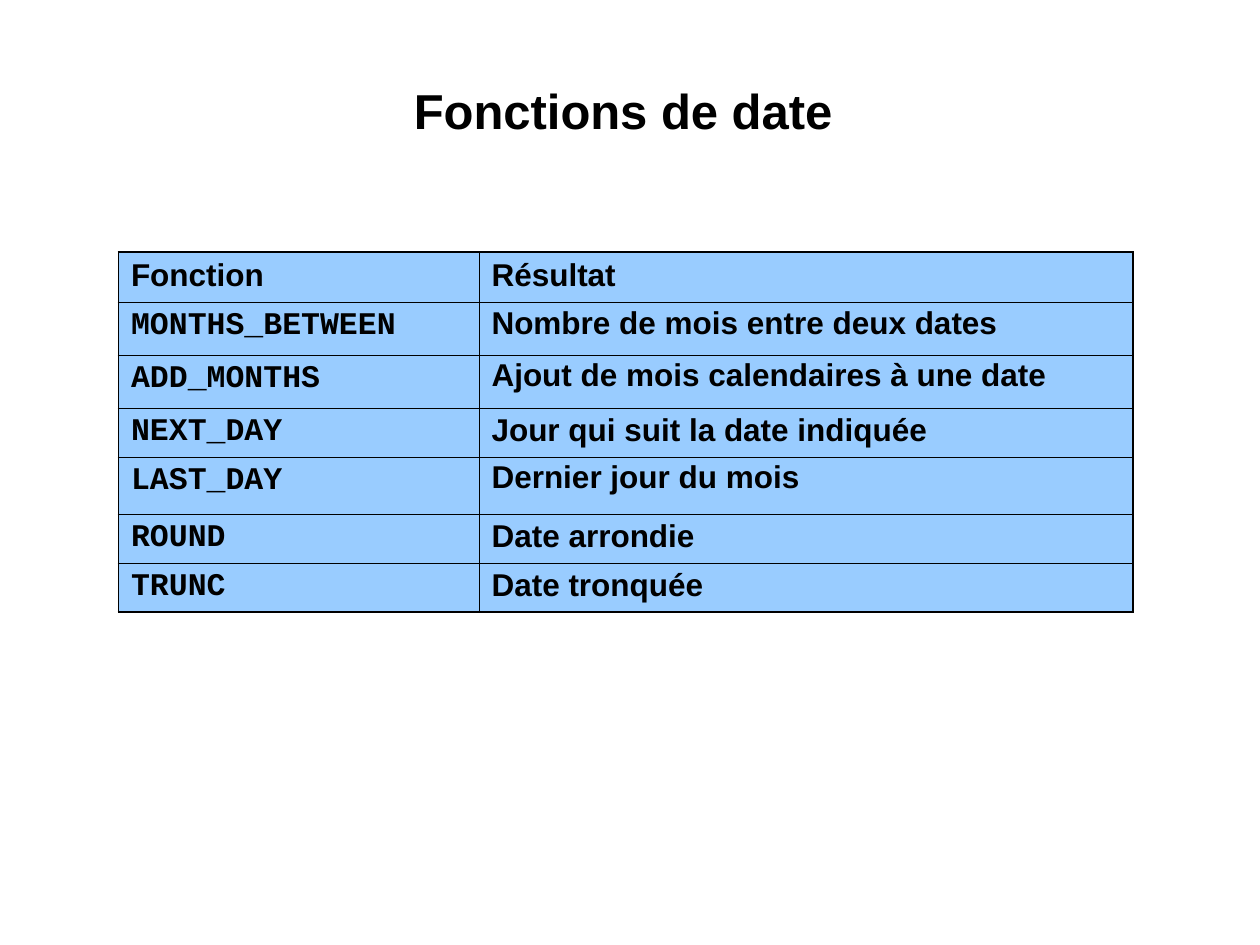
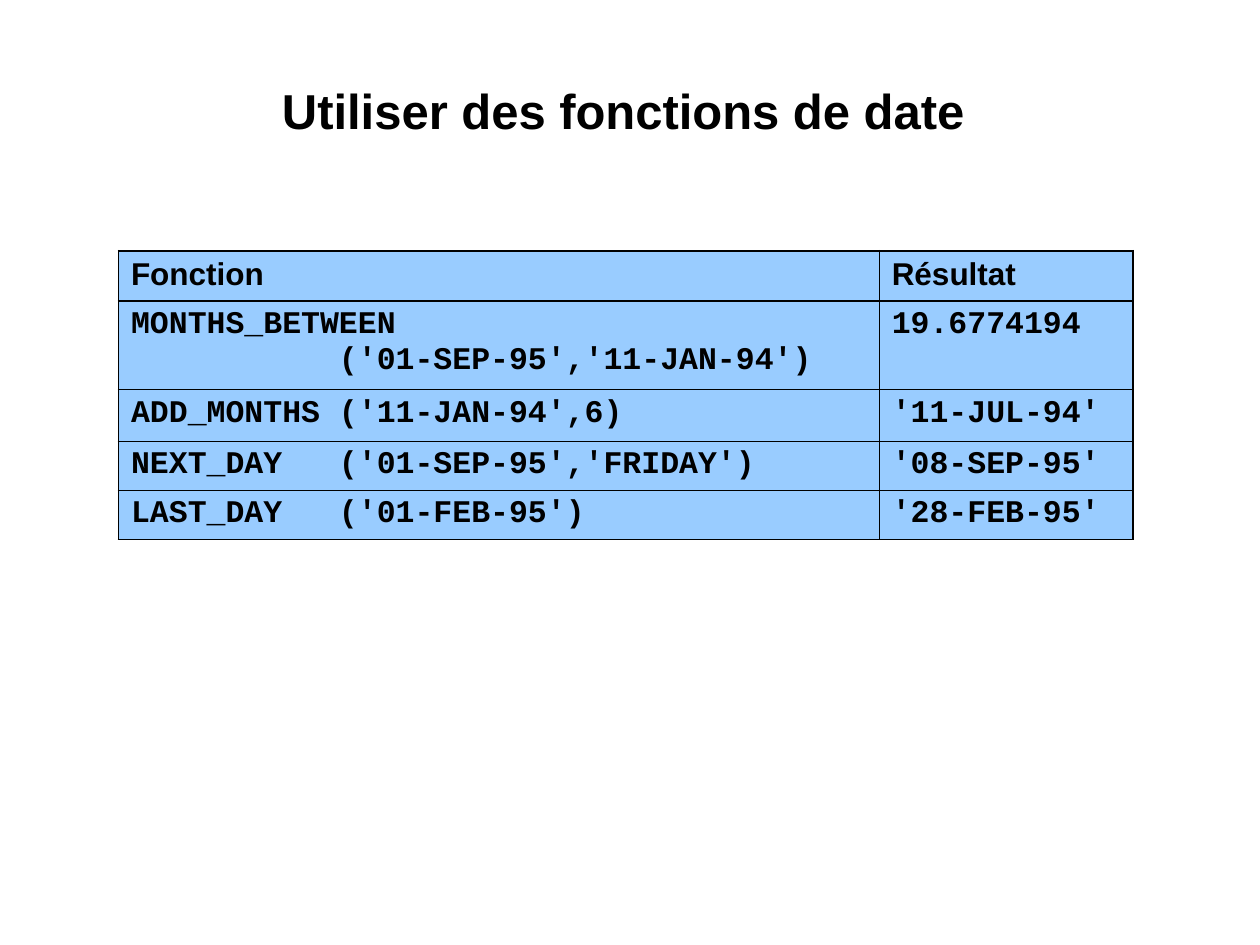
from lxml import etree
from pptx import Presentation
from pptx.dml.color import RGBColor
from pptx.enum import text
from pptx.oxml import ns
from pptx.util import Pt

BLACK = RGBColor(0x00, 0x00, 0x00)
SKY_BLUE = RGBColor(0x99, 0xCC, 0xFF)
SANS, MONO = "Arial", "Courier New"
HEADINGS = ("Fonction", "Résultat")

# Each row: height in points, line spacing, cell texts
DATE_FUNCTIONS = [
    (28.8, 1, HEADINGS),
    (30.2, 0.9, ("MONTHS_BETWEEN", "Nombre de mois entre deux dates")),
    (30.2, 0.9, ("ADD_MONTHS", "Ajout de mois calendaires à une date")),
    (28.1, 0.95, ("NEXT_DAY", "Jour qui suit la date indiquée")),
    (32.4, 0.9, ("LAST_DAY", "Dernier jour du mois")),
    (28.1, 0.95, ("ROUND", "Date arrondie")),
    (28.1, 0.95, ("TRUNC", "Date tronquée")),
]
DATE_EXAMPLES = [
    (28.8, 1, HEADINGS),
    (50.4, 1, ("MONTHS_BETWEEN\n\t('01-SEP-95','11-JAN-94')", "19.6774194")),
    (29.5, 0.95, ("ADD_MONTHS\t('11-JAN-94',6)", "'11-JUL-94'")),
    (28.1, 0.95, ("NEXT_DAY\t('01-SEP-95','FRIDAY')", "'08-SEP-95'")),
    (28.1, 0.95, ("LAST_DAY\t('01-FEB-95')", "'28-FEB-95'")),
]


class Deck:
    TITLE_SIZE, CELL_SIZE = Pt(28), Pt(18)
    HEAVY, THIN = Pt(1.08), Pt(0.45)
    ARGUMENT_TAB = Pt(118.8)  # eleven monospaced characters at 18 pt

    def __init__(self):
        self.presentation = Presentation()
        self.presentation.slide_width = Pt(720)
        self.presentation.slide_height = Pt(540)
        self.slide = None

    def add_slide(self, title):
        layout = self.presentation.slide_layouts[6]
        self.slide = self.presentation.slides.add_slide(layout)
        self.add_title(title)

    def add_title(self, title):
        frame = self.slide.shapes.add_textbox(Pt(72), Pt(41.8), Pt(576), Pt(69)).text_frame
        frame.word_wrap = True
        frame.margin_left = frame.margin_right = frame.margin_bottom = Pt(0.7)
        frame.margin_top = Pt(4.3)
        frame.text = title
        frame.paragraphs[0].alignment = text.PP_ALIGN.CENTER
        self.format_runs(frame.paragraphs[0], SANS, self.TITLE_SIZE)

    def add_table(self, top, column_widths, column_fonts, rows):
        height = sum(row_height for row_height, _, _ in rows)
        table = self.slide.shapes.add_table(
            len(rows), len(column_widths), Pt(67.7), Pt(top),
            Pt(sum(column_widths)), Pt(height)).table
        table.first_row = table.horz_banding = False
        for column, width in zip(table.columns, column_widths):
            column.width = Pt(width)
        last_row, last_column = len(rows) - 1, len(column_widths) - 1
        for r, (row_height, spacing, labels) in enumerate(rows):
            table.rows[r].height = Pt(row_height)
            for c, label in enumerate(labels):
                cell = table.cell(r, c)
                self.fill_cell(cell, label, column_fonts[c] if r else SANS, spacing)
                self.set_borders(cell, {"lnL": c == 0, "lnR": c == last_column,
                                        "lnT": r <= 1, "lnB": r in (0, last_row)})

    def fill_cell(self, cell, label, font_name, spacing):
        cell.fill.solid()
        cell.fill.fore_color.rgb = SKY_BLUE
        cell.text_frame.text = label
        for paragraph in cell.text_frame.paragraphs:
            paragraph.line_spacing = spacing
            self.format_runs(paragraph, font_name, self.CELL_SIZE)
            if "\t" in paragraph.text:
                self.set_argument_tab(paragraph)

    def set_argument_tab(self, paragraph):
        """Align the function arguments on one tab stop."""
        properties = paragraph._p.get_or_add_pPr()
        tabs = etree.SubElement(properties, ns.qn("a:tabLst"))
        etree.SubElement(tabs, ns.qn("a:tab"), pos=str(self.ARGUMENT_TAB), algn="l")

    def set_borders(self, cell, heavy_sides):
        """Draw the four borders; heavy_sides maps each side's tag to whether it is heavy."""
        properties = cell._tc.get_or_add_tcPr()
        for position, (side, heavy) in enumerate(heavy_sides.items()):
            line = etree.Element(ns.qn(f"a:{side}"), w=str(self.HEAVY if heavy else self.THIN))
            fill = etree.SubElement(line, ns.qn("a:solidFill"))
            etree.SubElement(fill, ns.qn("a:srgbClr"), val=str(BLACK))
            properties.insert(position, line)

    def format_runs(self, paragraph, font_name, size):
        for run in paragraph.runs:
            run.font.name = font_name
            run.font.size = size
            run.font.bold = True
            run.font.color.rgb = BLACK


def main():
    deck = Deck()
    deck.add_slide("Fonctions de date ")
    deck.add_table(144, (206, 373.8), (MONO, SANS), DATE_FUNCTIONS)
    deck.add_slide("Utiliser des fonctions de date ")
    deck.add_table(143.3, (434.7, 145.1), (MONO, MONO), DATE_EXAMPLES)
    deck.presentation.save("out.pptx")


if __name__ == "__main__":
    main()
